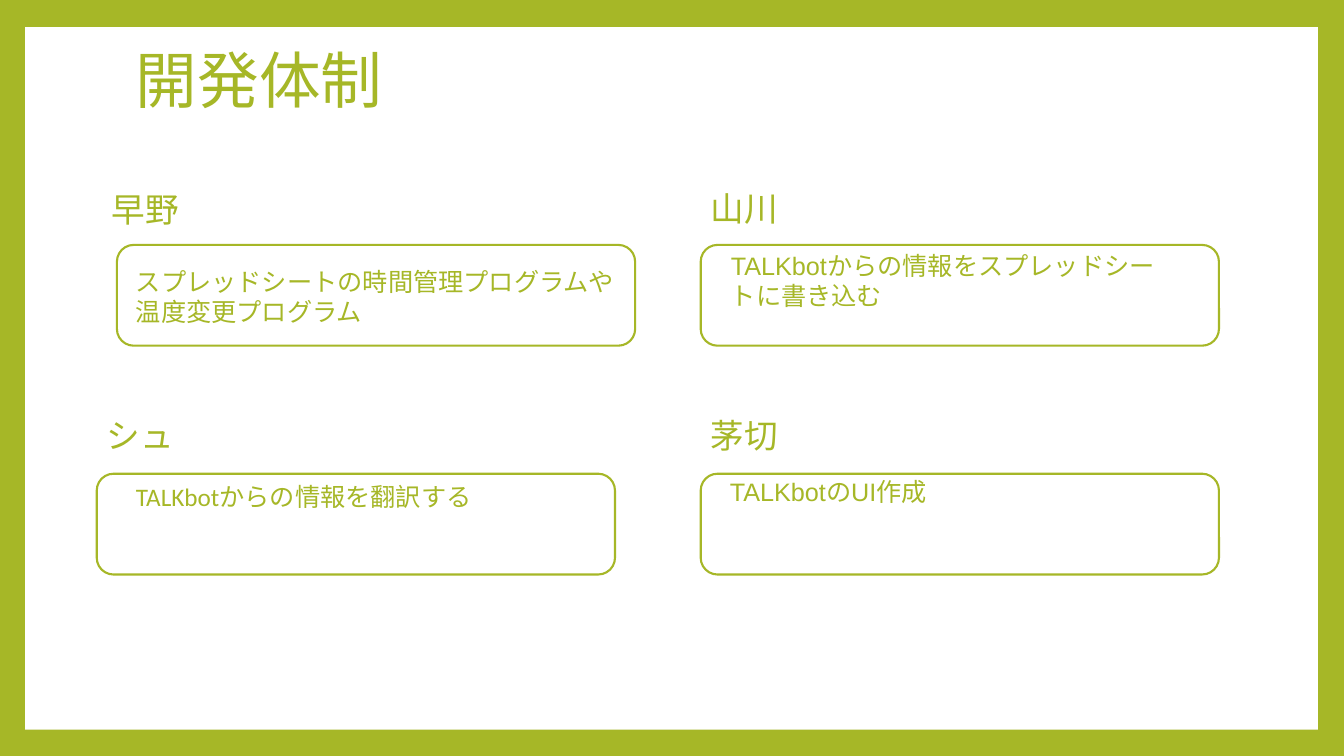
from dataclasses import dataclass

from pptx import Presentation
from pptx.dml.color import RGBColor
from pptx.enum.shapes import MSO_SHAPE as SHAPE
from pptx.enum.text import MSO_ANCHOR as ANCHOR
from pptx.util import Inches, Pt


@dataclass(frozen=True)
class Theme:
    green: RGBColor = RGBColor(0xA6, 0xB7, 0x27)
    white: RGBColor = RGBColor(0xFF, 0xFF, 0xFF)
    font: str = "Calibri"
    alt_font: str = "Arial"
    title: int = 44
    name: int = 24
    task: int = 18
    outline: float = 1.5


@dataclass(frozen=True)
class Member:
    """Boxes are (left, top, width, height); label boxes are relative to the card."""
    name: str
    task: str
    card: tuple
    name_box: tuple
    task_box: tuple
    task_font: str


THEME = Theme()
SLIDE_W, SLIDE_H = 13.33, 7.5
CARD_W, CARD_H = 5.14, 1
TOP_ROW, BOTTOM_ROW, RIGHT_COL = 2.43, 4.7, 6.95

MEMBERS = [
    Member("早野", "スプレッドシートの時間管理プログラムや温度変更プログラム",
           (1.16, TOP_ROW, CARD_W, CARD_H), (-0.15, -0.61, 1.7, 0.61),
           (0.09, 0.16, 5.05, 0.71), THEME.font),
    Member("山川", "TALKbotからの情報をスプレッドシートに書き込む",
           (RIGHT_COL, TOP_ROW, CARD_W, CARD_H), (0, -0.61, 2.2, 0.5),
           (0.2, 0, 4.65, 0.71), THEME.alt_font),
    Member("シュ", "TALKbotからの情報を翻訳する",
           (0.96, BOTTOM_ROW, CARD_W, CARD_H), (0, -0.63, 2.85, 0.5),
           (0.29, 0.03, 4.06, 0.4), THEME.font),
    Member("茅切", "TALKbotのUI作成",
           (RIGHT_COL, BOTTOM_ROW, CARD_W, CARD_H), (0, -0.63, 1.9, 0.5),
           (0.19, -0.02, 3.73, 0.4), THEME.alt_font),
]


def add_text(slide, box, text, size, font=THEME.font, anchor=ANCHOR.TOP, spacing=1.0):
    tf = slide.shapes.add_textbox(*map(Inches, box)).text_frame
    tf.word_wrap = True
    tf.vertical_anchor = anchor
    p = tf.paragraphs[0]
    p.line_spacing = spacing
    r = p.add_run()
    r.text = text
    for key, value in {"name": font, "size": Pt(size)}.items():
        setattr(r.font, key, value)
    r.font.color.rgb = THEME.green


def add_frame(slide, box):
    """Green slide background with a white panel inside it."""
    fill = slide.background.fill
    fill.solid()
    fill.fore_color.rgb = THEME.green
    panel = slide.shapes.add_shape(SHAPE.RECTANGLE, *map(Inches, box))
    panel.shadow.inherit = False
    panel.fill.solid()
    panel.fill.fore_color.rgb = THEME.white
    panel.line.fill.background()


def add_title(slide, box, text):
    add_text(slide, box, text, THEME.title, anchor=ANCHOR.MIDDLE, spacing=0.9)


def add_member(slide, member):
    left, top = member.card[:2]

    def within_card(box):
        x, y, w, h = box
        return left + x, top + y, w, h

    add_text(slide, within_card(member.name_box), member.name, THEME.name)
    add_text(slide, within_card(member.task_box), member.task, THEME.task,
             member.task_font)
    card = slide.shapes.add_shape(SHAPE.ROUNDED_RECTANGLE, *map(Inches, member.card))
    card.shadow.inherit = False
    card.fill.background()
    card.line.color.rgb = THEME.green
    card.line.width = Pt(THEME.outline)


def main():
    prs = Presentation()
    prs.slide_width, prs.slide_height = Inches(SLIDE_W), Inches(SLIDE_H)
    slide = prs.slides.add_slide(prs.slide_layouts[6])
    add_frame(slide, (0.25, 0.27, 12.82, 6.97))
    add_title(slide, (1.25, 0.09, 10.8, 1.48), "開発体制")
    for member in MEMBERS:
        add_member(slide, member)
    prs.save("out.pptx")


if __name__ == "__main__":
    main()
